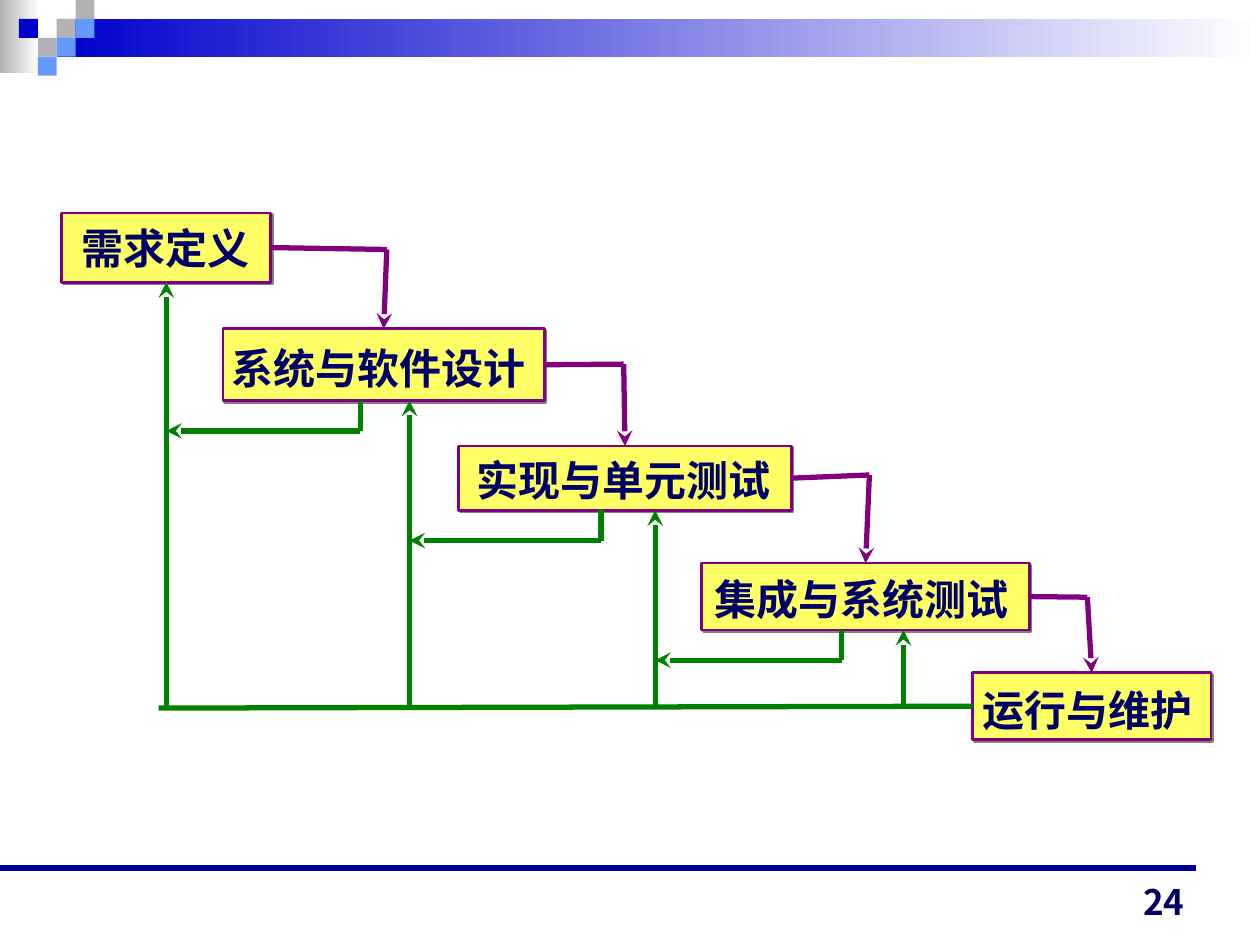
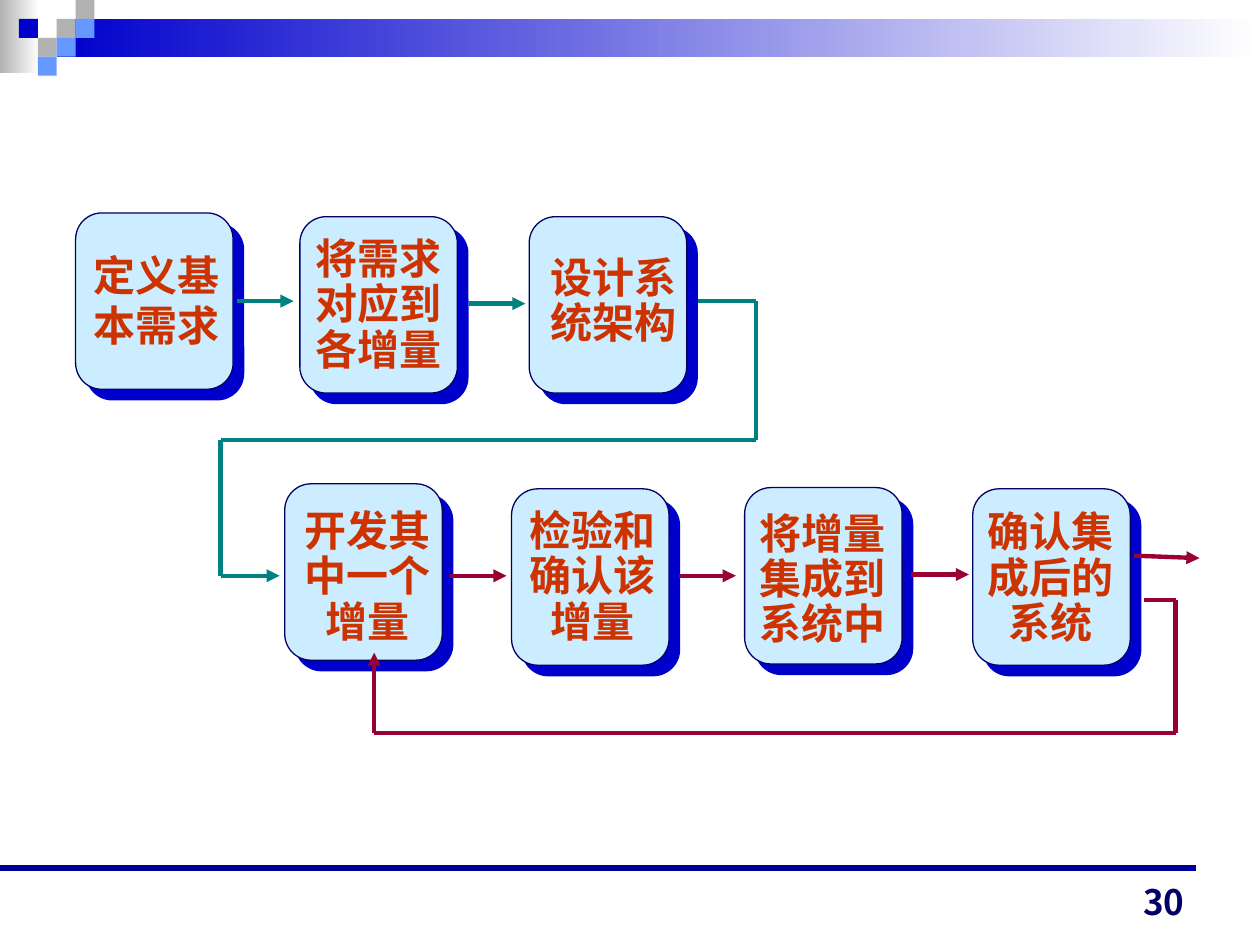
"""Build two process-model slides: a waterfall with feedback and an incremental flow."""
import itertools
from dataclasses import dataclass
from typing import Optional

import lxml.etree
import pptx
import pptx.dml.color
import pptx.enum.shapes
import pptx.enum.text
import pptx.oxml.ns
import pptx.util

NAVY, BLUE, SKY, GREY, WHITE = "000066", "0000CC", "6699FF", "B2B2B2", "FFFFFF"
PURPLE, GREEN, TEAL, CRIMSON = "800080", "008000", "008080", "990033"
RULE_BLUE, YELLOW, PALE_BLUE, ORANGE = "000099", "FFFF66", "CCECFF", "CC3300"
SHADOW_GREY = "808080"
EAST_ASIAN, TIMES, PAGE_FONT = "Noto Sans CJK SC", "Times New Roman", "Noto Sans CJK JP"
TOP, LEFT, BOTTOM, RIGHT = range(4)
UNIT = 0.15

SHAPE = pptx.enum.shapes.MSO_SHAPE
ALIGN = pptx.enum.text.PP_ALIGN
ANCHOR = pptx.enum.text.MSO_ANCHOR
Box = tuple[float, float, float, float]
Point = tuple[float, float]


@dataclass(frozen=True)
class TextStyle:
    """Look of one kind of text."""
    color: str
    align: int
    font: str = TIMES
    size: int = 24
    spacing: float = 1.0
    anchor: int = ANCHOR.TOP


@dataclass(frozen=True)
class BoxStyle:
    """Look of one kind of shadowed box; the shadow distance is in points."""
    kind: int
    fill: str
    line: str
    width: float
    shadow: str
    distance: float


@dataclass(frozen=True)
class Stage:
    """A box with its label."""
    box: Box
    label_box: Box
    lines: tuple[str, ...]
    style: TextStyle


@dataclass(frozen=True)
class Stroke:
    """Look of a route."""
    color: str
    width: float
    head: Optional[str] = None


@dataclass(frozen=True)
class Joint:
    """A side of a shape that a route is joined to."""
    shape: object
    side: int


STAGE_TEXT = TextStyle(NAVY, ALIGN.JUSTIFY)
STAGE_TEXT_SANS = TextStyle(NAVY, ALIGN.JUSTIFY, EAST_ASIAN)
CARD_TEXT = TextStyle(ORANGE, ALIGN.CENTER, spacing=0.9)
CARD_TEXT_OPEN = TextStyle(ORANGE, ALIGN.CENTER)
PAGE_TEXT = TextStyle(NAVY, ALIGN.RIGHT, PAGE_FONT, 20, anchor=ANCHOR.BOTTOM)
STAGE_BOX = BoxStyle(SHAPE.RECTANGLE, YELLOW, PURPLE, 1.5, SHADOW_GREY, 1.4)
CARD_BOX = BoxStyle(SHAPE.FLOWCHART_ALTERNATE_PROCESS, PALE_BLUE, NAVY, 0.75, BLUE, 8.5)

WATERFALL = (
    Stage((0.49, 1.69, 1.66, 0.55), (0.55, 1.72, 1.59, 0.5), ("需求定义",), STAGE_TEXT_SANS),
    Stage((1.77, 2.61, 2.55, 0.57), (1.74, 2.67, 2.68, 0.54), ("系统与软件设计",), STAGE_TEXT),
    Stage((3.64, 3.54, 2.64, 0.51), (3.68, 3.56, 2.75, 0.5), ("实现与单元测试",), STAGE_TEXT),
    Stage((5.57, 4.47, 2.6, 0.53), (5.57, 4.5, 2.75, 0.51), ("集成与系统测试",), STAGE_TEXT),
    Stage((7.72, 5.34, 1.89, 0.53), (7.7, 5.38, 1.98, 0.39), ("运行与维护",), STAGE_TEXT_SANS),
)
STEP_CORNERS = ((3.07, 1.98), (4.95, 2.89), (6.9, 3.77), (8.63, 4.74))
RISER_X = (1.32, 3.25, 5.2, 7.17)
DROP_X = (2.86, 4.77, 6.68)
DROP, BUS_Y, BUS_START = 0.24, 5.62, 1.26

CARD_W, CARD_H = 1.25, 1.4
INCREMENTS = tuple(
    Stage((x, y, CARD_W, CARD_H), label_box, lines, style)
    for x, y, label_box, lines, style in (
        (0.6, 1.69, (0.61, 1.93, 1.27, 0.99), ("定义基", "本需求"), CARD_TEXT_OPEN),
        (2.38, 1.72, (2.3, 1.84, 1.41, 1.38), ("将需求对应到各增量",), CARD_TEXT),
        (4.2, 1.72, (4.24, 1.99, 1.25, 1), ("设计系统架构",), CARD_TEXT),
        (2.26, 3.84, (2.21, 4, 1.41, 1.38), ("开发其中一个增量",), CARD_TEXT),
        (4.06, 3.88, (4.07, 4, 1.27, 1.28), ("检验和确认该", "增量"), CARD_TEXT),
        (5.91, 3.87, (5.88, 4.02, 1.29, 1.25), ("将增量集成到系统中",), CARD_TEXT),
        (7.72, 3.88, (7.67, 4.01, 1.34, 1.16), ("确认集成后的系统",), CARD_TEXT),
    )
)
TEAL_ARROW = Stroke(TEAL, 2.5, "triangle")
CRIMSON_ARROW = Stroke(CRIMSON, 2.5, "triangle")
INCREMENT_ROUTES = (
    (TEAL_ARROW, ((1.88, 2.39), (2.33, 2.39))),
    (TEAL_ARROW, ((3.72, 2.41), (4.17, 2.41))),
    (TEAL_ARROW, ((5.54, 2.39), (6, 2.39), (6, 3.49), (1.75, 3.49), (1.75, 4.57), (2.22, 4.57))),
    (CRIMSON_ARROW, ((3.57, 4.57), (4.02, 4.57))),
    (CRIMSON_ARROW, ((5.39, 4.57), (5.84, 4.57))),
    (CRIMSON_ARROW, ((7.23, 4.56), (7.69, 4.56))),
    (CRIMSON_ARROW, ((9, 4.41), (9.52, 4.43))),
    (CRIMSON_ARROW, ((9.08, 4.76), (9.33, 4.76), (9.33, 5.82), (2.97, 5.82), (2.97, 5.18))),
)


def rgb(color: str) -> pptx.dml.color.RGBColor:
    """Turn a hex string into a colour."""
    return pptx.dml.color.RGBColor.from_string(color)


def lengths(values: tuple[float, ...]) -> list[int]:
    """Turn numbers of inches into lengths."""
    return [pptx.util.Inches(v) for v in values]


def child(parent, tag: str, **attributes: str):
    """Append a drawing element to its parent."""
    return lxml.etree.SubElement(parent, pptx.oxml.ns.qn(tag), attributes)


def add_text(s, box: Box, lines: tuple[str, ...], style: TextStyle) -> None:
    """Add a wrapped text box with one paragraph per line."""
    tf = s.shapes.add_textbox(*lengths(box)).text_frame
    tf.word_wrap = True
    tf.vertical_anchor = style.anchor
    tf.text = "\n".join(lines)
    for p in tf.paragraphs:
        p.alignment = style.align
        p.line_spacing = style.spacing
        p.font.size = pptx.util.Pt(style.size)
        p.font.bold = True
        p.font.color.rgb = rgb(style.color)
        p.font.name = style.font
        child(p.font._element, "a:ea", typeface=EAST_ASIAN)


def add_plain(s, box: Box, fill: str, fade: bool = False) -> None:
    """Add a rectangle without outline, solid or fading to white on the right."""
    sp = s.shapes.add_shape(SHAPE.RECTANGLE, *lengths(box))
    sp.shadow.inherit = False
    sp.line.fill.background()
    if fade:
        sp.fill.gradient()
        sp.fill.gradient_angle = 0
        for stop, color in zip(sp.fill.gradient_stops, (fill, WHITE)):
            stop.color.rgb = rgb(color)
    else:
        sp.fill.solid()
        sp.fill.fore_color.rgb = rgb(fill)


def add_box(s, box: Box, style: BoxStyle):
    """Add an outlined box with a hard shadow to the lower right."""
    sp = s.shapes.add_shape(style.kind, *lengths(box))
    sp.fill.solid()
    sp.fill.fore_color.rgb = rgb(style.fill)
    sp.line.color.rgb = rgb(style.line)
    sp.line.width = pptx.util.Pt(style.width)
    sp.shadow.inherit = False
    effects = sp._element.spPr.find(pptx.oxml.ns.qn("a:effectLst"))
    distance = str(pptx.util.Pt(style.distance))
    shadow = child(effects, "a:outerShdw", dist=distance, dir="2700000", algn="ctr", rotWithShape="0")
    child(shadow, "a:srgbClr", val=style.shadow)
    return sp


def add_stages(s, stages: tuple[Stage, ...], style: BoxStyle) -> list:
    """Add every stage and return the boxes."""
    boxes = []
    for stage in stages:
        boxes.append(add_box(s, stage.box, style))
        add_text(s, stage.label_box, stage.lines, stage.style)
    return boxes


def add_route(s, points: tuple[Point, ...], stroke: Stroke,
              begin: Optional[Joint] = None, end: Optional[Joint] = None) -> None:
    """Add straight connectors through the points, with the head on the last one."""
    legs = []
    for start, stop in itertools.pairwise(points):
        leg = s.shapes.add_connector(
            pptx.enum.shapes.MSO_CONNECTOR.STRAIGHT, *lengths(start + stop))
        leg.line.color.rgb = rgb(stroke.color)
        leg.line.width = pptx.util.Pt(stroke.width)
        legs.append(leg)
    if stroke.head:
        child(legs[-1].line._get_or_add_ln(), "a:tailEnd", type=stroke.head)
    for leg in legs:
        child(leg._element.spPr, "a:effectLst")
    if begin:
        legs[0].begin_connect(begin.shape, begin.side)
    if end:
        legs[-1].end_connect(end.shape, end.side)


def add_frame(prs, page: int):
    """Add a slide with the top band, its squares, the footer rule and the page number."""
    s = prs.slides.add_slide(prs.slide_layouts[6])
    add_plain(s, (0, 0, 0.31, 0.58), GREY, fade=True)
    add_plain(s, (3 * UNIT, UNIT, 10 - 3 * UNIT, 2 * UNIT), BLUE, fade=True)
    for column, row, color in ((3, 1, GREY), (4, 0, GREY), (4, 1, SKY), (2, 2, GREY),
                               (1, 1, BLUE), (3, 2, SKY), (2, 3, SKY)):
        add_plain(s, (column * UNIT, row * UNIT, UNIT, UNIT), color)
    add_route(s, ((0, 6.89), (9.49, 6.89)), Stroke(RULE_BLUE, 3))
    add_text(s, (7.17, 6.92, 2.33, 0.45), (str(page),), PAGE_TEXT)
    return s


def build_waterfall(prs) -> None:
    """Add the waterfall slide with its feedback lines."""
    s = add_frame(prs, 24)
    boxes = add_stages(s, WATERFALL, STAGE_BOX)
    forward = Stroke(PURPLE, 3, "stealth")
    back = Stroke(GREEN, 3, "stealth")
    bottoms = [stage.box[1] + stage.box[3] for stage in WATERFALL]
    for (stage, following), corner in zip(itertools.pairwise(boxes), STEP_CORNERS):
        add_route(s, (corner, corner, corner), forward,
                  Joint(stage, RIGHT), Joint(following, TOP))
    add_route(s, ((WATERFALL[-1].box[0], BUS_Y), (BUS_START, BUS_Y)), Stroke(GREEN, 3),
              Joint(boxes[-1], LEFT))
    for i, (x, bottom) in enumerate(zip(RISER_X, bottoms)):
        add_route(s, ((x, BUS_Y), (x, bottom)), back,
                  end=Joint(boxes[i], BOTTOM) if i == 0 else None)
    for x, bottom, riser in zip(DROP_X, bottoms[1:], RISER_X):
        add_route(s, ((x, bottom), (x, bottom + DROP), (riser, bottom + DROP)), back)


def build_increments(prs) -> None:
    """Add the incremental development slide."""
    s = add_frame(prs, 30)
    add_stages(s, INCREMENTS, CARD_BOX)
    for stroke, points in INCREMENT_ROUTES:
        add_route(s, points, stroke)


def main() -> None:
    """Build and save the slides."""
    prs = pptx.Presentation()
    prs.slide_width, prs.slide_height = lengths((10, 7.5))
    build_waterfall(prs)
    build_increments(prs)
    prs.save("out.pptx")


if __name__ == "__main__":
    main()
